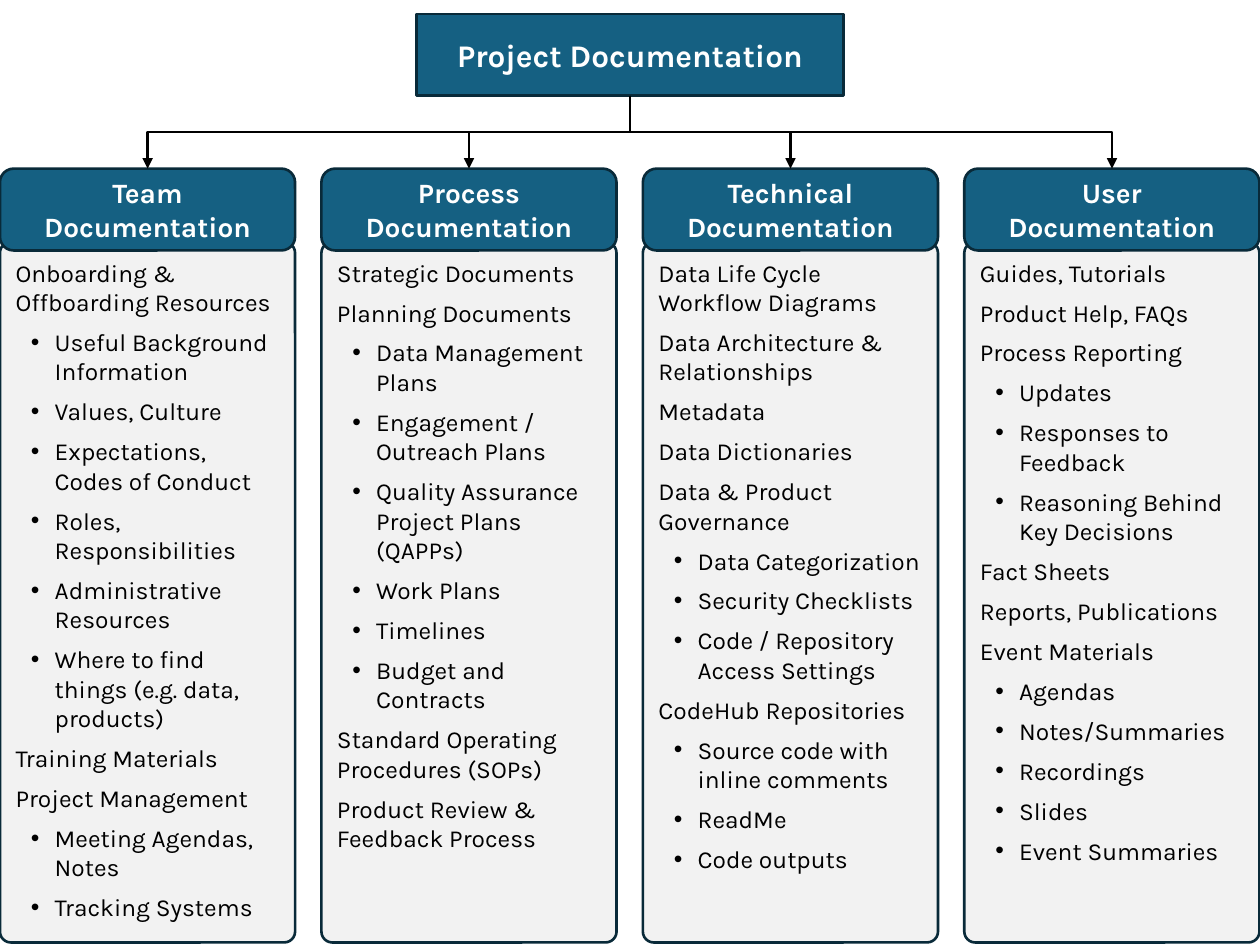
from lxml.etree import SubElement
from pptx import Presentation
from pptx.dml.color import RGBColor
from pptx.enum.shapes import MSO_CONNECTOR as LINK, MSO_SHAPE as FORM
from pptx.enum.text import MSO_ANCHOR as ANCHOR, MSO_AUTO_SIZE as AUTO, PP_ALIGN as ALIGN
from pptx.oxml.ns import qn
from pptx.util import Cm, Pt

BLUE, EDGE, GREY, BLACK, WHITE = "156082", "092A39", "F2F2F2", "000000", "FFFFFF"
BULLET = "• "
hue = RGBColor.from_string


def paint(box, fill):
    box.shadow.inherit = False
    box.fill.solid()
    box.fill.fore_color.rgb = hue(fill)
    box.line.color.rgb = hue(EDGE)
    box.line.width = Pt(1.5)


def write(box, text, size=14, color=BLACK, bold=False, align=ALIGN.LEFT,
          anchor=ANCHOR.TOP, after=0, inset=0.13):
    frame = box.text_frame
    frame.word_wrap = True
    frame.auto_size = AUTO.NONE
    frame.vertical_anchor = anchor
    frame.margin_left = frame.margin_right = Cm(0.25)
    frame.margin_top, frame.margin_bottom = Cm(inset), Cm(0.13)
    for i, line in enumerate(text.split("\n")):
        para = frame.add_paragraph() if i else frame.paragraphs[0]
        para.alignment = align
        para.space_after = Pt(after)
        run = para.add_run()
        run.text = line.removeprefix(BULLET)
        font = run.font
        font.name, font.size, font.bold = "Karla", Pt(size), bold
        font.color.rgb = hue(color)
        if line.startswith(BULLET):
            props = para._p.get_or_add_pPr()
            props.set("marL", str(Cm(0.79)))
            props.set("indent", str(-Cm(0.48)))
            SubElement(props, qn("a:buFont"), typeface="Arial")
            SubElement(props, qn("a:buChar"), char="•")


columns = [
    ("Team", """Onboarding & Offboarding Resources
• Useful Background Information
• Values, Culture
• Expectations, Codes of Conduct
• Roles, Responsibilities
• Administrative Resources
• Where to find things (e.g. data, products)
Training Materials
Project Management
• Meeting Agendas, Notes
• Tracking Systems"""),
    ("Process", """Strategic Documents
Planning Documents
• Data Management Plans
• Engagement / Outreach Plans
• Quality Assurance Project Plans (QAPPs)
• Work Plans
• Timelines
• Budget and Contracts
Standard Operating Procedures (SOPs)
Product Review & Feedback Process"""),
    ("Technical", """Data Life Cycle Workflow Diagrams
Data Architecture & Relationships
Metadata
Data Dictionaries
Data & Product Governance
• Data Categorization
• Security Checklists
• Code / Repository Access Settings
CodeHub Repositories
• Source code with inline comments
• ReadMe
• Code outputs"""),
    ("User", """Guides, Tutorials
Product Help, FAQs
Process Reporting
• Updates
• Responses to Feedback
• Reasoning Behind Key Decisions
Fact Sheets
Reports, Publications
Event Materials
• Agendas
• Notes/Summaries
• Recordings
• Slides
• Event Summaries"""),
]

deck = Presentation()
deck.slide_width, deck.slide_height = Cm(25.4), Cm(19.05)
slide = deck.slides.add_slide(deck.slide_layouts[5])
shapes = slide.shapes
label = dict(color=WHITE, bold=True, align=ALIGN.CENTER, anchor=ANCHOR.MIDDLE)

# Title in a rounded box
title = shapes.title
title.left, title.top, title.width, title.height = Cm(8.4), Cm(0.28), Cm(8.6), Cm(1.65)
geom = SubElement(title.element.spPr, qn("a:prstGeom"), prst="roundRect")
SubElement(geom, qn("a:avLst"))
paint(title, BLUE)
write(title, "Project Documentation", size=18, **label)

# Columns: a list panel with a header over its top edge
wide, step = Cm(5.95), Cm(6.48)
heads = []
for i, (name, items) in enumerate(columns):
    panel = shapes.add_shape(FORM.ROUNDED_RECTANGLE, i * step, Cm(4.88), wide, Cm(14.12))
    panel.adjustments[0] = 0.037
    paint(panel, GREY)
    write(panel, items, after=6, inset=0.25)
    head = shapes.add_shape(FORM.ROUNDED_RECTANGLE, i * step, Cm(3.4), wide, Cm(1.65))
    paint(head, BLUE)
    write(head, f"{name}\nDocumentation", size=16, **label)
    heads.append(head)

# Elbow arrows from the title, turned so that they leave downwards
start_x, start_y = title.left + title.width // 2, title.top + title.height
for head in heads:
    end_x, end_y = head.left + wide // 2, head.top
    drop, span = end_y - start_y, abs(end_x - start_x)
    arrow = shapes.add_connector(LINK.ELBOW, start_x, start_y, end_x, end_y)
    arrow.begin_connect(title, 2)
    arrow.end_connect(head, 0)
    arrow.left = (start_x + end_x - drop) // 2
    arrow.top = (start_y + end_y - span) // 2
    arrow.width, arrow.height = drop, span
    right = end_x > start_x
    turn = arrow.element.spPr.find(qn("a:xfrm"))
    turn.set("rot", str((270 if right else 90) * 60000))
    turn.set("flipH", "1" if right else "0")
    arrow.line.color.rgb = hue(BLACK)
    arrow.line.width = Pt(1.5)
    SubElement(arrow.line._get_or_add_ln(), qn("a:tailEnd"), type="triangle")
    SubElement(arrow.element.spPr, qn("a:effectLst"))

deck.save("out.pptx")
